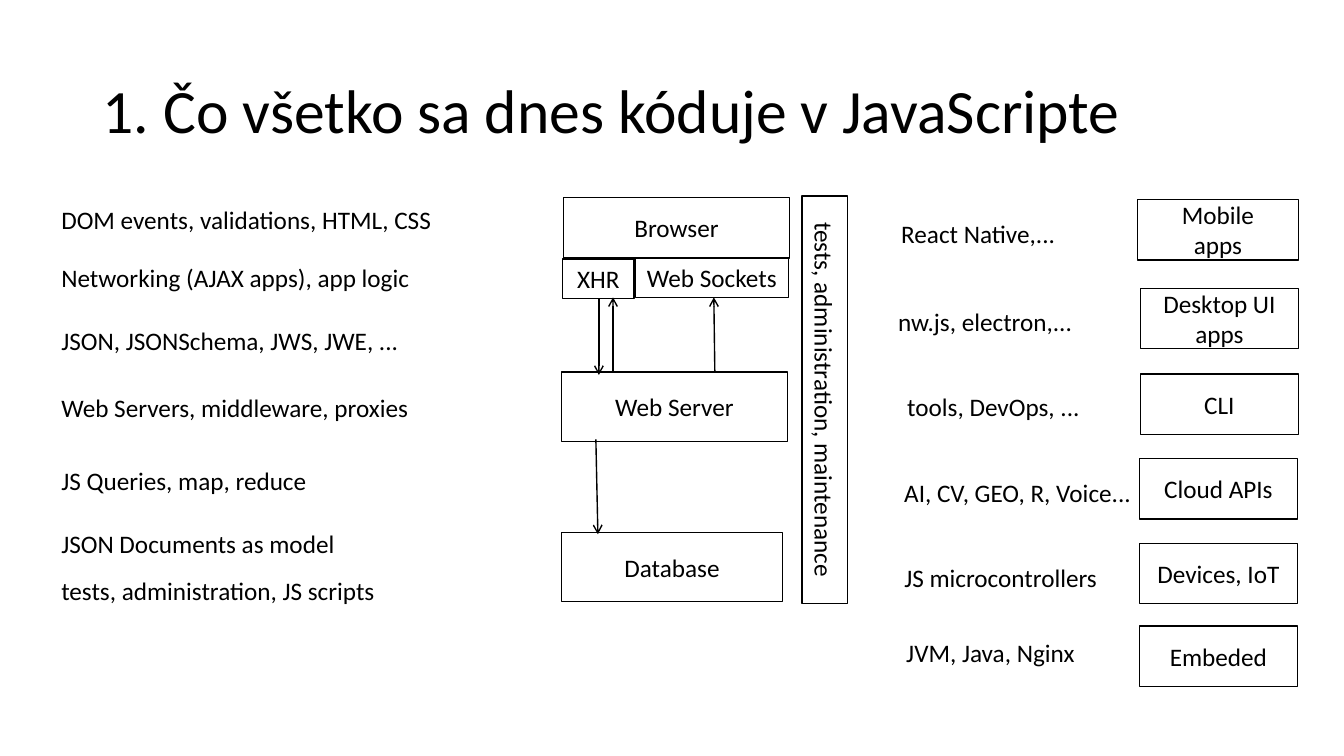
from dataclasses import dataclass

from lxml import etree
from pptx import Presentation
from pptx import util as u
from pptx.dml import color
from pptx.enum import shapes, text
from pptx.oxml import ns

COLOURS = {"ink": "000000", "paper": "FFFFFF"}
FONT = "Calibri"
BODY_SIZE = 18
BOX_HEIGHT = 0.6


@dataclass
class Box:
    lines: list[str]
    left: float
    top: float
    width: float
    height: float = BOX_HEIGHT
    rotation: int = 0


@dataclass
class Label:
    words: str
    left: float
    top: float
    width: float
    height: float = 0.4


@dataclass
class Arrow:
    start: tuple[float, float]
    end: tuple[float, float]


TITLE = Label("1. Čo všetko sa dnes kóduje v JavaScripte", 0.92, 0.4, 11.5, 1.45)

BOXES = [
    Box(["Browser"], 5.59, 1.96, 2.24),
    Box(["XHR"], 5.58, 2.57, 0.71, 0.39),
    Box(["Web Sockets"], 6.3, 2.56, 1.52, 0.39),
    Box(["Web Server"], 5.57, 3.69, 2.24, 0.69),
    Box(["Database"], 5.57, 5.28, 2.19, 0.69),
    Box(["tests, administration, maintenance"], 6.16, 3.74, 4.04, 0.45, 90),
    Box(["Mobile", "apps"], 11.28, 1.98, 1.6),
    Box(["Desktop UI", "apps"], 11.31, 2.86, 1.57),
    Box(["CLI"], 11.31, 3.71, 1.57),
    Box(["Cloud APIs"], 11.3, 4.55, 1.57),
    Box(["Devices, IoT"], 11.3, 5.39, 1.57),
    Box(["Embeded"], 11.3, 6.21, 1.57),
]

LAYER_LEFT = 0.51
LAYER_LABELS = [
    Label("DOM events, validations, HTML, CSS", LAYER_LEFT, 1.98, 3.97),
    Label("Networking (AJAX apps), app logic", LAYER_LEFT, 2.55, 3.69),
    Label("JSON, JSONSchema, JWS, JWE, ...", LAYER_LEFT, 3.18, 3.58),
    Label("Web Servers, middleware, proxies", LAYER_LEFT, 3.84, 3.65),
    Label("JS Queries, map, reduce", LAYER_LEFT, 4.57, 2.72),
    Label("JSON Documents as model", LAYER_LEFT, 5.19, 2.94),
    Label("tests, administration, JS scripts", LAYER_LEFT, 5.66, 3.36),
]

PLATFORM_LABELS = [
    Label("React Native,...", 8.84, 2.12, 1.75),
    Label("nw.js, electron,...", 8.81, 2.99, 1.97),
    Label("tools, DevOps, ...", 8.9, 3.83, 1.93),
    Label("AI, CV, GEO, R, Voice...", 8.87, 4.69, 2.47),
    Label("JS microcontrollers", 8.87, 5.53, 2.15),
    Label("JVM, Java, Nginx", 8.89, 6.27, 1.9),
]

ARROWS = [
    Arrow((5.94, 2.96), (5.94, 3.72)),
    Arrow((6.08, 3.68), (6.08, 2.95)),
    Arrow((7.09, 3.69), (7.08, 2.95)),
    Arrow((5.91, 4.36), (5.93, 5.3)),
]


def colour(name: str) -> color.RGBColor:
    return color.RGBColor.from_string(COLOURS[name])


def add_run(paragraph, words: str, size: int = BODY_SIZE) -> None:
    run = paragraph.add_run()
    run.text = words
    run.font.name = FONT
    run.font.size = u.Pt(size)
    run.font.color.rgb = colour("ink")


def frame(item: Box | Label) -> list[u.Length]:
    return [u.Inches(n) for n in (item.left, item.top, item.width, item.height)]


def style_line(line) -> None:
    line.color.rgb = colour("ink")
    line.width = u.Pt(1)


def add_title(slide, title: Label) -> None:
    text_frame = slide.shapes.add_textbox(*frame(title)).text_frame
    text_frame.word_wrap = True
    text_frame.vertical_anchor = text.MSO_ANCHOR.MIDDLE
    paragraph = text_frame.paragraphs[0]
    paragraph.line_spacing = 0.9
    add_run(paragraph, title.words, 44)


def add_label(slide, label: Label) -> None:
    text_frame = slide.shapes.add_textbox(*frame(label)).text_frame
    text_frame.word_wrap = False
    text_frame.auto_size = text.MSO_AUTO_SIZE.SHAPE_TO_FIT_TEXT
    add_run(text_frame.paragraphs[0], label.words)


def add_box(slide, box: Box) -> None:
    shape = slide.shapes.add_shape(shapes.MSO_SHAPE.RECTANGLE, *frame(box))
    shape.shadow.inherit = False
    shape.rotation = box.rotation
    shape.fill.solid()
    shape.fill.fore_color.rgb = colour("paper")
    style_line(shape.line)
    text_frame = shape.text_frame
    text_frame.word_wrap = True
    text_frame.vertical_anchor = text.MSO_ANCHOR.MIDDLE
    for index, words in enumerate(box.lines):
        paragraph = text_frame.add_paragraph() if index else text_frame.paragraphs[0]
        paragraph.alignment = text.PP_ALIGN.CENTER
        add_run(paragraph, words)


def add_arrow(slide, arrow: Arrow) -> None:
    ends = [u.Inches(n) for n in (*arrow.start, *arrow.end)]
    connector = slide.shapes.add_connector(shapes.MSO_CONNECTOR.STRAIGHT, *ends)
    style_line(connector.line)
    properties = connector.element.spPr
    line = properties.find(ns.qn("a:ln"))
    etree.SubElement(line, ns.qn("a:tailEnd"), type="arrow")
    etree.SubElement(properties, ns.qn("a:effectLst"))


def main() -> None:
    presentation = Presentation()
    presentation.slide_width = u.Inches(13.33)
    presentation.slide_height = u.Inches(7.5)
    slide = presentation.slides.add_slide(presentation.slide_layouts[6])
    add_title(slide, TITLE)
    for box in BOXES:
        add_box(slide, box)
    for label in LAYER_LABELS + PLATFORM_LABELS:
        add_label(slide, label)
    for arrow in ARROWS:
        add_arrow(slide, arrow)
    presentation.save("out.pptx")


if __name__ == "__main__":
    main()
